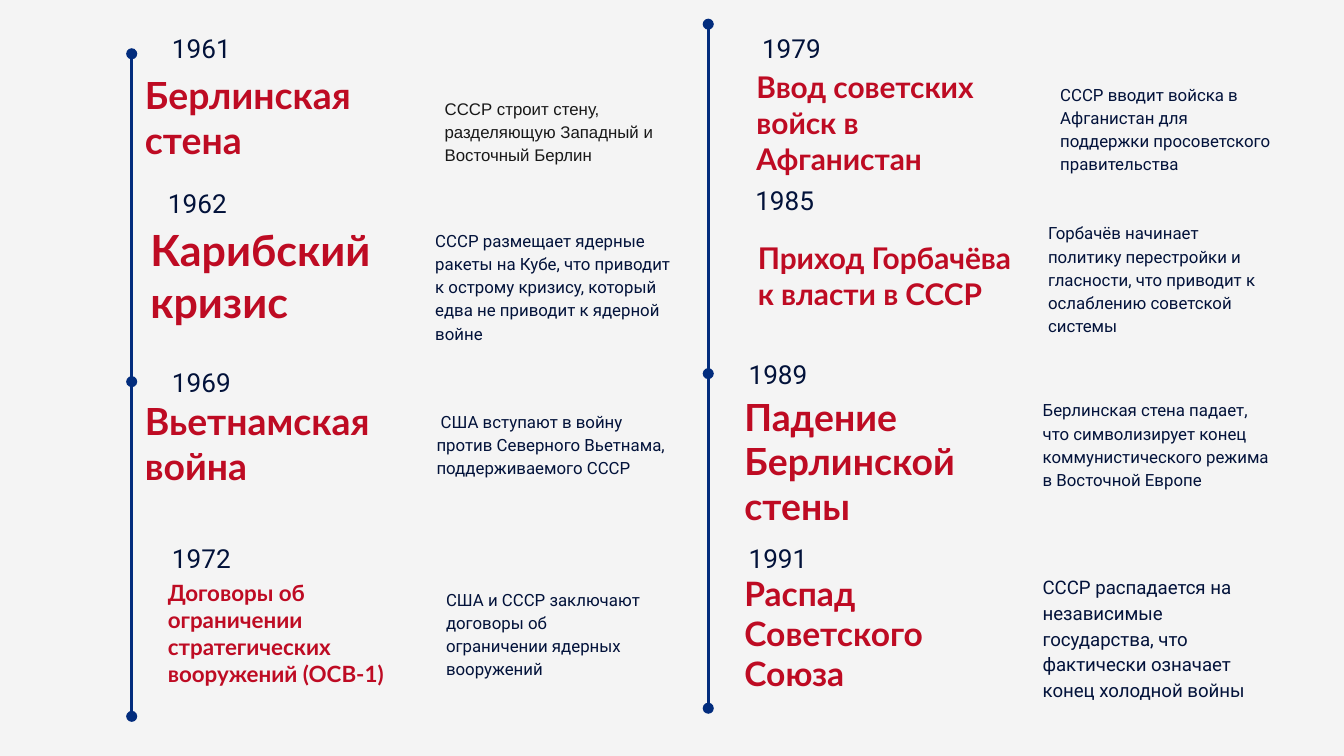
from dataclasses import dataclass

from lxml import etree
from pptx import Presentation
from pptx.dml.color import RGBColor
from pptx.enum.shapes import MSO_CONNECTOR
from pptx.enum.text import MSO_ANCHOR
from pptx.oxml.ns import qn
from pptx.util import Pt

EMU_PER_PX = 4572
SLIDE_WIDTH, SLIDE_HEIGHT = 2000, 1125
YEAR_WIDTH, YEAR_HEIGHT = 212, 92
BLOCK_HEIGHT = 132
INSET, YEAR_INSET = 20, 60


@dataclass(frozen=True)
class Theme:
    background: str = "F4F4F4"
    ink: str = "02123A"
    charcoal: str = "181818"
    accent: str = "BE0B23"
    axis: str = "022C7D"
    heading_font: str = "Lato"
    body_font: str = "Roboto"
    plain_font: str = "Arial"
    year_size: int = 14
    note_size: int = 9
    large_note_size: int = 10
    heading_sizes: tuple = (12, 16, 18, 20, 23)
    axis_weight: float = 1.5
    note_spacing: float = 1.15


THEME = Theme()
TINY, SMALL, MEDIUM, LARGE, HUGE = THEME.heading_sizes


@dataclass(frozen=True)
class Event:
    year: str
    year_at: tuple
    heading: str
    heading_at: tuple
    heading_size: int
    note: str
    note_at: tuple
    note_width: int
    heading_width: int = 418
    note_size: int = THEME.note_size
    note_font: str = THEME.body_font
    note_color: str = THEME.ink


EVENTS = [
    Event("1961", (196, 26), "Берлинская стена", (196, 108), LARGE,
          "СССР строит стену, разделяющую Западный и Восточный Берлин",
          (642, 128), 362, note_font=THEME.plain_font, note_color=THEME.charcoal),
    Event("1962", (190, 256), "Карибский кризис", (204, 344), HUGE,
          "СССР размещает ядерные ракеты на Кубе, что приводит к острому кризису, "
          "который едва не приводит к ядерной войне",
          (628, 359), 406),
    Event("1969", (196, 522), "Вьетнамская война", (196, 594), LARGE,
          " США вступают в войну против Северного Вьетнама, поддерживаемого СССР",
          (630, 594), 388),
    Event("1972", (196, 784),
          "Договоры об ограничении стратегических вооружений (ОСВ-1)", (230, 876), TINY,
          "США и СССР заключают договоры об ограничении ядерных вооружений",
          (644, 876), 338, heading_width=444),
    Event("1979", (1074, 26), "Ввод советских войск в Афганистан", (1106, 116), SMALL,
          "СССР вводит войска в Афганистан для поддержки просоветского правительства",
          (1558, 124), 354),
    Event("1985", (1064, 252), "Приход Горбачёва к власти в СССР", (1108, 344), SMALL,
          "Горбачёв начинает политику перестройки и гласности, "
          "что приводит к ослаблению советской системы",
          (1540, 348), 374),
    Event("1989", (1054, 510), "Падение Берлинской стены", (1088, 620), LARGE,
          "Берлинская стена падает, что символизирует конец "
          "коммунистического режима в Восточной Европе",
          (1532, 594), 380),
    Event("1991", (1054, 784), "Распад Советского Союза", (1088, 876), MEDIUM,
          "СССР распадается на независимые государства, "
          "что фактически означает конец холодной войны",
          (1532, 882), 380, note_size=THEME.large_note_size),
]

AXES = [(196, (80, 568, 1066)), (1054, (36, 556, 1054))]


def px(length):
    return length * EMU_PER_PX


def add_text(slide, text, *, at, width, height=BLOCK_HEIGHT, size, font, color,
             bold=False, spacing=None, left_inset=INSET):
    left, top = at
    frame = slide.shapes.add_textbox(px(left), px(top), px(width), px(height)).text_frame
    frame.word_wrap = True
    frame.vertical_anchor = MSO_ANCHOR.MIDDLE
    frame.margin_left = px(left_inset)
    frame.margin_top = frame.margin_right = frame.margin_bottom = px(INSET)
    paragraph = frame.paragraphs[0]
    paragraph.line_spacing = spacing
    run = paragraph.add_run()
    run.text = text
    run.font.name = font
    run.font.size = Pt(size)
    run.font.bold = bold
    run.font.color.rgb = RGBColor.from_string(color)


def add_axis_segment(slide, x, top, bottom, first):
    segment = slide.shapes.add_connector(
        MSO_CONNECTOR.STRAIGHT, px(x), px(top), px(x), px(bottom))
    segment.line.width = Pt(THEME.axis_weight)
    segment.line.color.rgb = RGBColor.from_string(THEME.axis)
    outline = segment.line._get_or_add_ln()
    for end in ("a:headEnd", "a:tailEnd") if first else ("a:tailEnd",):
        etree.SubElement(outline, qn(end), type="oval", w="med", len="med")
    etree.SubElement(segment._element.spPr, qn("a:effectLst"))


def add_axis(slide, x, stops):
    for index, (top, bottom) in enumerate(zip(stops, stops[1:])):
        add_axis_segment(slide, x, top, bottom, first=index == 0)


def add_event(slide, event):
    add_text(slide, event.note, at=event.note_at, width=event.note_width,
             size=event.note_size, font=event.note_font, color=event.note_color,
             spacing=THEME.note_spacing)
    add_text(slide, event.heading, at=event.heading_at, width=event.heading_width,
             size=event.heading_size, font=THEME.heading_font, color=THEME.accent,
             bold=True)
    add_text(slide, event.year, at=event.year_at, width=YEAR_WIDTH, height=YEAR_HEIGHT,
             size=THEME.year_size, font=THEME.body_font, color=THEME.ink,
             left_inset=YEAR_INSET)


def main():
    deck = Presentation()
    deck.slide_width, deck.slide_height = px(SLIDE_WIDTH), px(SLIDE_HEIGHT)
    slide = deck.slides.add_slide(deck.slide_layouts.get_by_name("Blank"))
    slide.background.fill.solid()
    slide.background.fill.fore_color.rgb = RGBColor.from_string(THEME.background)
    for x, stops in AXES:
        add_axis(slide, x, stops)
    for event in EVENTS:
        add_event(slide, event)
    deck.save("out.pptx")


if __name__ == "__main__":
    main()
